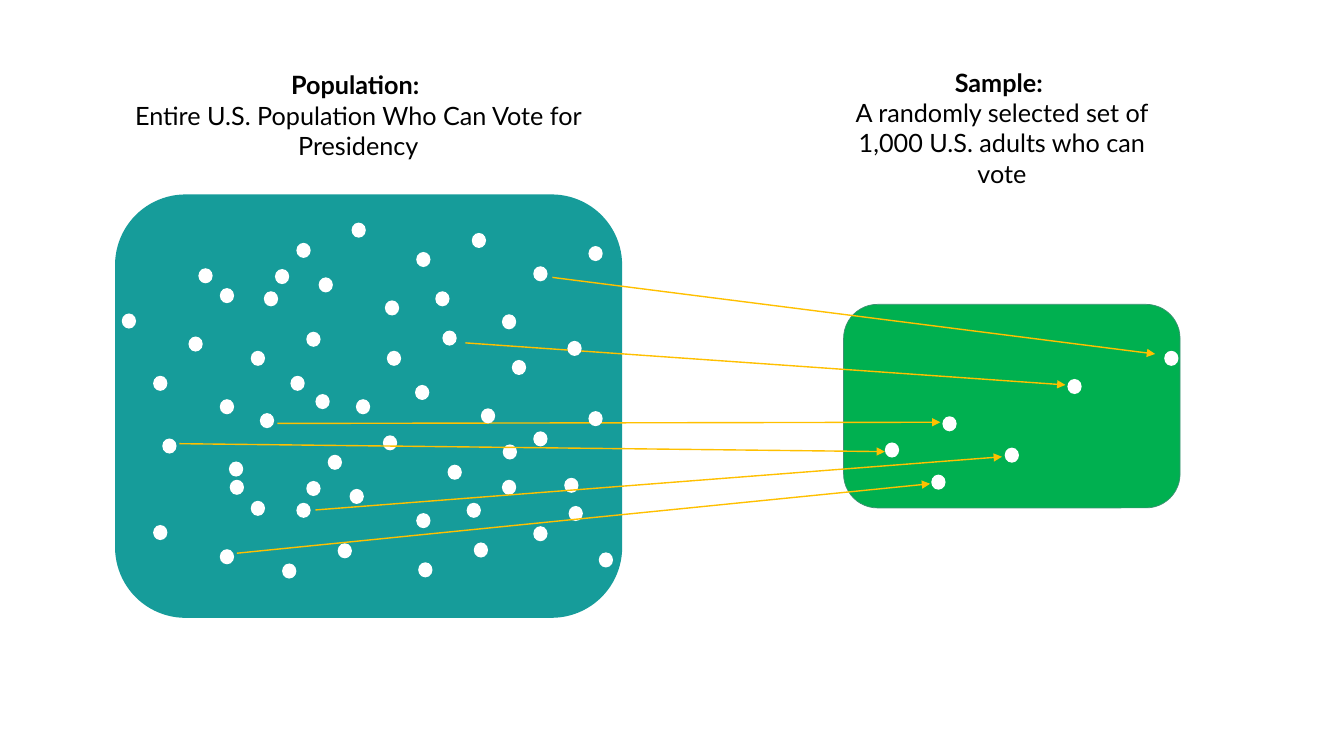
from lxml import etree
from pptx import Presentation
from pptx import util as u
from pptx.dml.color import RGBColor
from pptx.enum import shapes, text
from pptx.oxml.ns import qn

TEAL, GREEN, GREEN_EDGE = "169C9A", "00B050", "3D9072"
WHITE, BLACK, AMBER = "FFFFFF", "000000", "FFC000"
FONT = "Lato"
DOT_WIDTH, DOT_HEIGHT = 0.36, 0.38

# Left and top of each voter dot, in cm
POPULATION = [
    (5.00, 6.76), (7.47, 6.12), (6.65, 7.34), (8.86, 5.61), (8.03, 6.99),
    (10.49, 6.35), (9.70, 7.57), (11.89, 5.87), (3.86, 9.47), (6.32, 8.84),
    (5.54, 10.06), (7.72, 8.36), (7.32, 9.47), (9.75, 8.84), (8.97, 10.06),
    (11.15, 8.33), (10.46, 9.70), (12.90, 9.07), (12.12, 10.29), (14.30, 8.59),
    (10.97, 7.34), (13.44, 6.71), (12.65, 7.92), (14.83, 6.20), (3.07, 7.90),
    (5.54, 7.26), (4.75, 8.48), (6.93, 6.78), (4.09, 11.05), (6.55, 10.41),
    (5.77, 11.63), (7.95, 9.93), (5.79, 12.09), (8.26, 11.46), (7.47, 12.67),
    (9.65, 10.97), (8.81, 12.32), (11.28, 11.71), (10.49, 12.93), (12.67, 11.20),
    (7.11, 14.20), (8.51, 13.69), (10.54, 14.17), (11.94, 13.67), (15.09, 13.92),
    (11.76, 12.67), (14.22, 12.04), (13.44, 13.26), (3.86, 13.23), (6.32, 12.62),
    (5.54, 13.84), (7.72, 12.12), (14.33, 12.75), (13.44, 10.87), (12.65, 12.09),
    (14.83, 10.36),
]
SAMPLE = [
    (29.34, 8.84), (26.90, 9.55), (23.75, 10.49),
    (22.30, 11.15), (25.32, 11.28), (23.47, 11.96),
]

# Start and end of each selection arrow, in cm
UPPER_SELECTIONS = [
    (13.92, 6.99, 29.11, 8.92),
    (11.73, 8.64, 26.85, 9.70),
    (6.99, 10.67, 23.70, 10.64),
]
LOWER_SELECTIONS = [
    (7.95, 12.85, 25.25, 11.51),
    (4.52, 11.18, 22.30, 11.38),
    (5.97, 13.94, 23.44, 12.19),
]


def color(hex_string):
    return RGBColor.from_string(hex_string)


def add_figure(slide, kind, left, top, width, height, fill, edge=None):
    figure = slide.shapes.add_shape(
        kind, u.Cm(left), u.Cm(top), u.Cm(width), u.Cm(height))
    figure.shadow.inherit = False
    figure.fill.solid()
    figure.fill.fore_color.rgb = color(fill)
    if edge:
        figure.line.color.rgb = color(edge)
        figure.line.width = u.Pt(0.5)
    else:
        figure.line.fill.background()


def add_group_box(slide, left, top, width, height, fill, edge=None):
    add_figure(slide, shapes.MSO_SHAPE.ROUNDED_RECTANGLE,
               left, top, width, height, fill, edge)


def add_dots(slide, positions):
    for left, top in positions:
        add_figure(slide, shapes.MSO_SHAPE.OVAL,
                   left, top, DOT_WIDTH, DOT_HEIGHT, WHITE)


def add_arrows(slide, selections):
    for ends in selections:
        arrow = slide.shapes.add_connector(
            shapes.MSO_CONNECTOR.STRAIGHT, *(u.Cm(end) for end in ends))
        arrow.line.color.rgb = color(AMBER)
        arrow.line.width = u.Pt(1)
        etree.SubElement(arrow.line._get_or_add_ln(), qn("a:tailEnd"), type="triangle")
        etree.SubElement(arrow._element.spPr, qn("a:effectLst"))


def add_caption(slide, left, top, width, height, heading, description):
    caption = slide.shapes.add_textbox(
        u.Cm(left), u.Cm(top), u.Cm(width), u.Cm(height)).text_frame
    caption.word_wrap = True
    caption.auto_size = text.MSO_AUTO_SIZE.SHAPE_TO_FIT_TEXT
    lines = [(caption.paragraphs[0], heading, True),
             (caption.add_paragraph(), description, False)]
    for paragraph, words, bold in lines:
        paragraph.alignment = text.PP_ALIGN.CENTER
        run = paragraph.add_run()
        run.text = words
        run.font.name = FONT
        run.font.size = u.Pt(18)
        run.font.bold = bold
        run.font.color.rgb = color(BLACK)


def main():
    deck = Presentation()
    deck.slide_width, deck.slide_height = u.Cm(33.87), u.Cm(19.05)
    slide = deck.slides.add_slide(deck.slide_layouts[6])

    # Population and sample boxes
    add_group_box(slide, 2.90, 4.90, 12.78, 10.67, TEAL)
    add_group_box(slide, 21.26, 7.67, 8.48, 5.13, GREEN, GREEN_EDGE)

    # Captions
    add_caption(slide, 2.64, 1.63, 12.78, 2.57, "Population: ",
                "Entire U.S. Population Who Can Vote for Presidency")
    add_caption(slide, 21.01, 1.57, 8.48, 3.33, "Sample: ",
                "A randomly selected set of 1,000 U.S. adults who can vote")

    # Voters, with the lower arrows passing over the population dots
    add_arrows(slide, UPPER_SELECTIONS)
    add_dots(slide, POPULATION)
    add_arrows(slide, LOWER_SELECTIONS)
    add_dots(slide, SAMPLE)

    deck.save("out.pptx")


if __name__ == "__main__":
    main()
